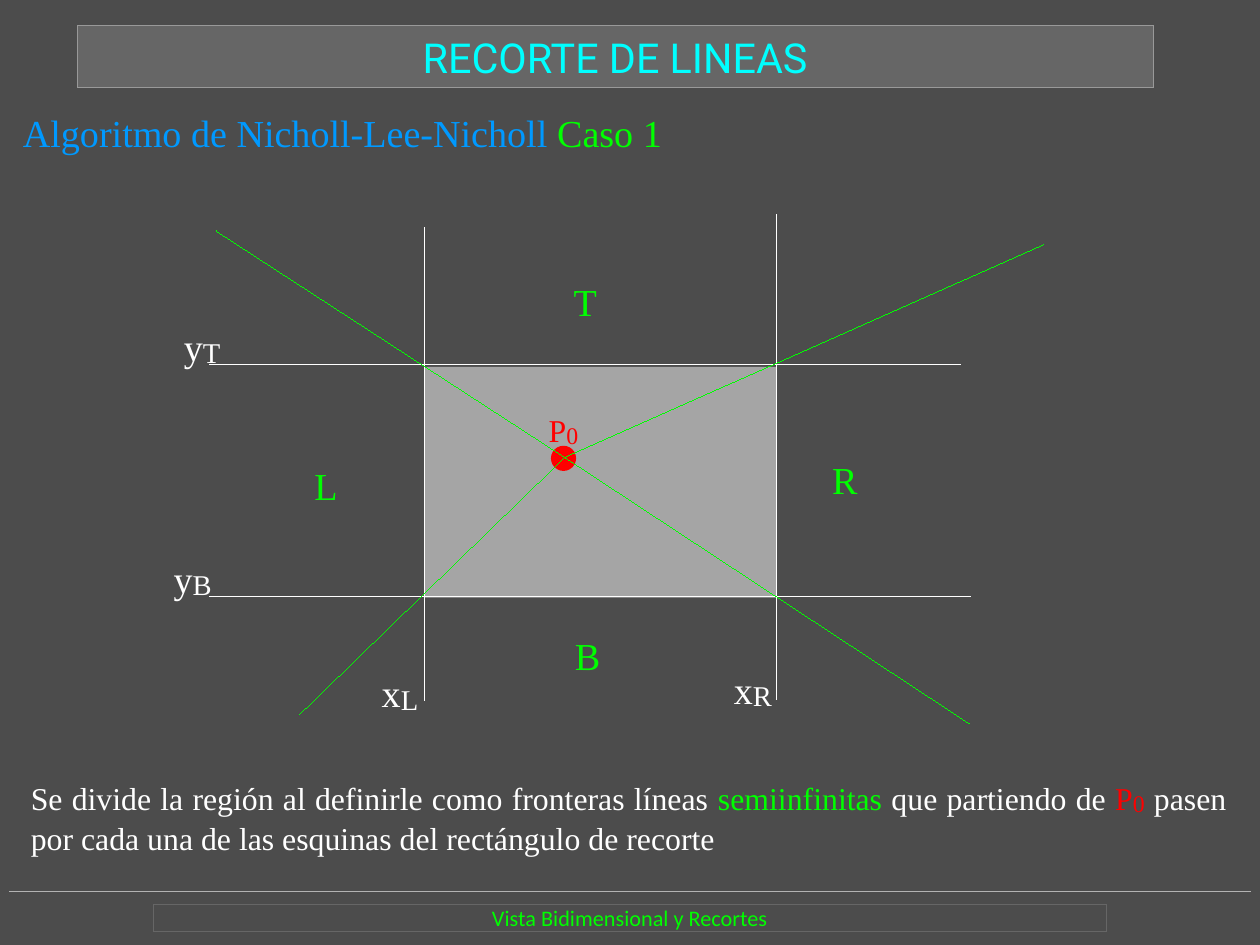
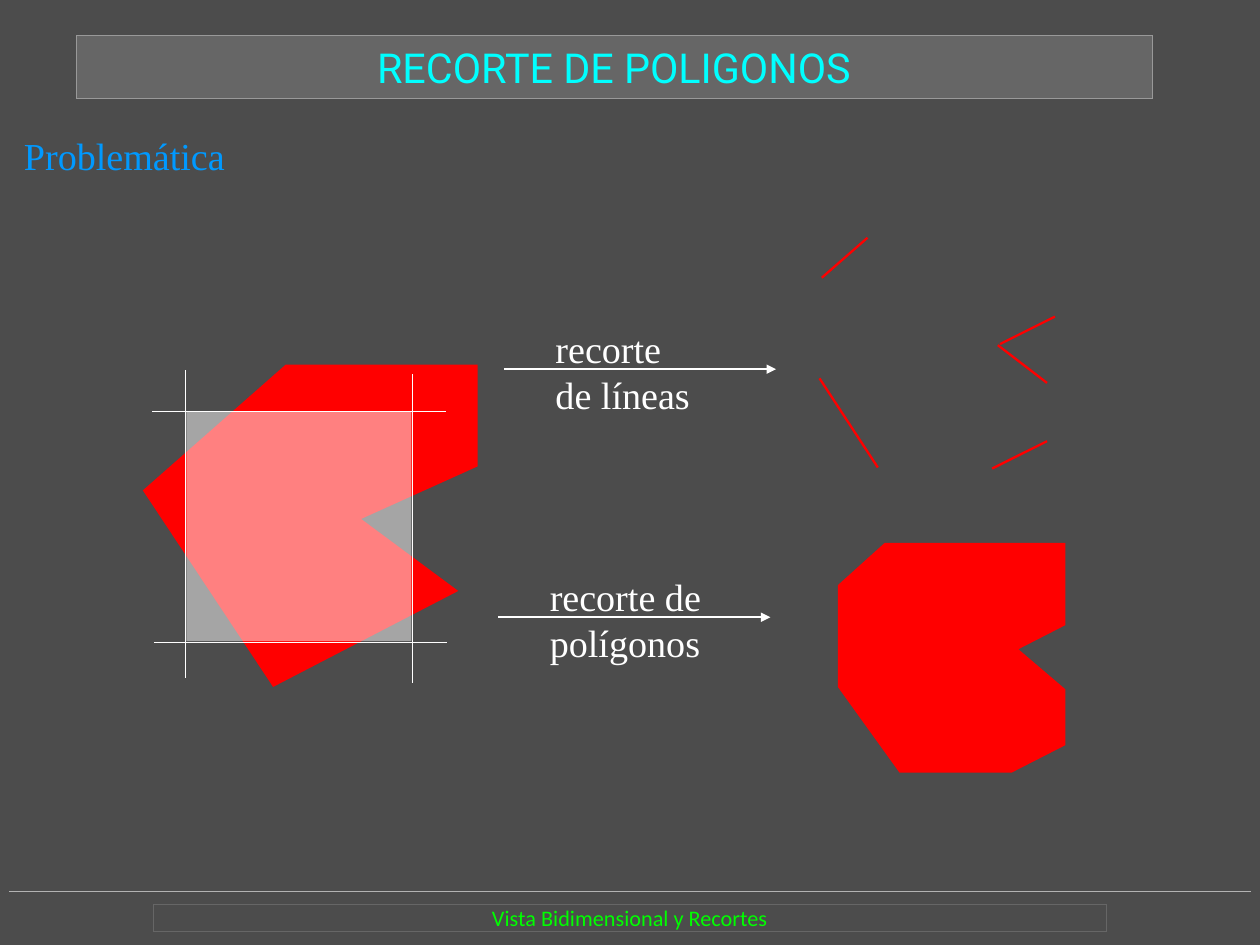
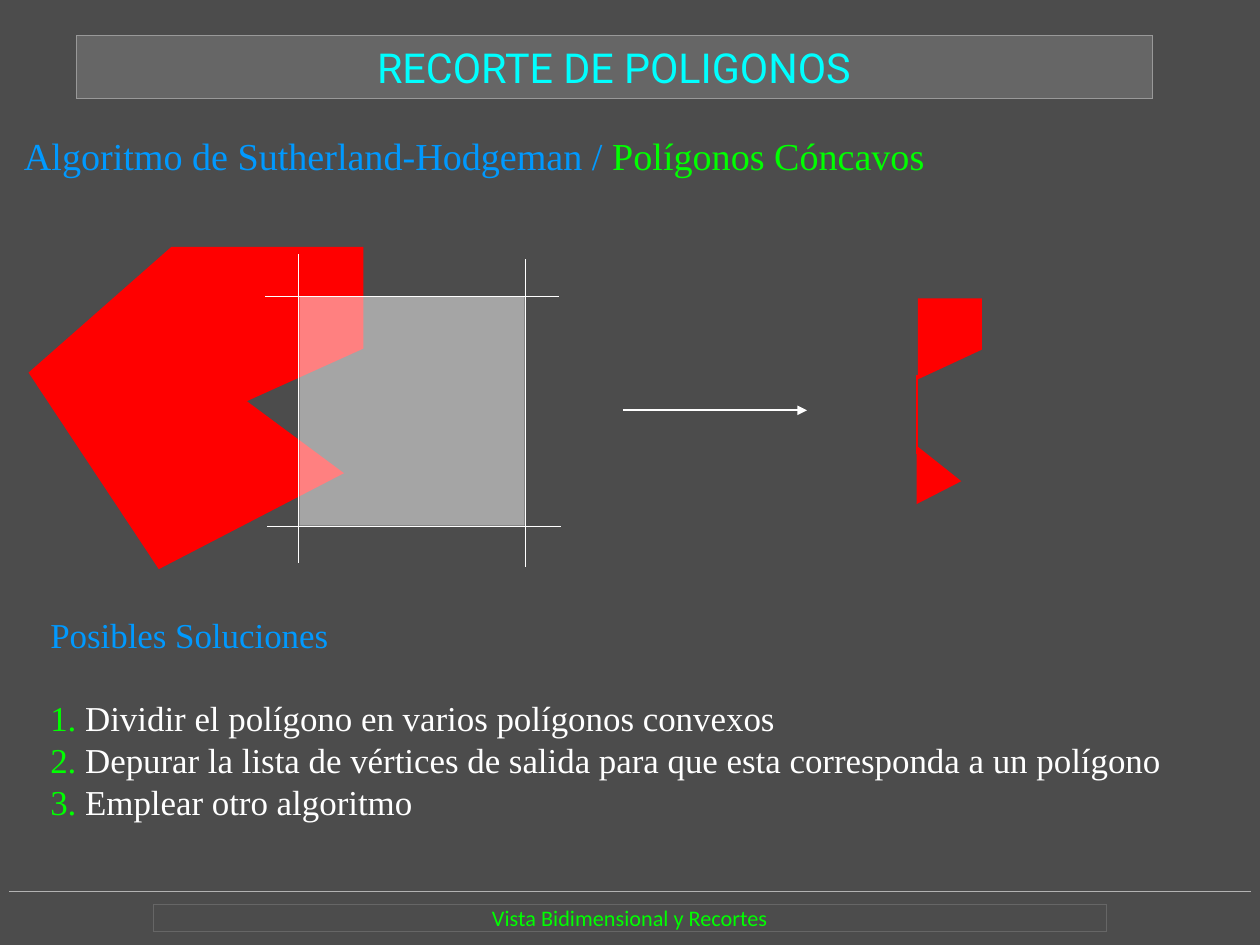
import pptx
import pptx.util
import pptx.dml.color
import pptx.enum.shapes
import pptx.enum.text
import pptx.oxml
import pptx.oxml.ns

WIDE, HIGH = pptx.util.Mm(280), pptx.util.Mm(210)
GREY, WHITE, RED = "4C4C4C", "FFFFFF", "FF0000"
GREEN, BLUE, CYAN = "00FF00", "0099FF", "00FFFF"
SERIF = "Times New Roman"
HAIR, BOLD = 0.01, 1.45  # line widths in points
FOOTER = "Vista Bidimensional y Recortes"

# Each text is a list of paragraphs; each paragraph a list of (words, colour)
# runs, with a third item, a size, for a subscript.
LEE = [[("Algoritmo de Nicholl-Lee-Nicholl", BLUE), (" Caso 1", GREEN)]]
ISSUE = [[("Problemática", BLUE)]]
HODGE = [[("Algoritmo de Sutherland-Hodgeman /", BLUE),
          (" Polígonos Cóncavos", GREEN)]]
POINT = [("P", RED), ("0", RED, 25.9)]
NOTE = [[("Se divide la región al definirle como fronteras líneas ", WHITE),
         ("semiinfinitas", GREEN), (" que partiendo de ", WHITE), *POINT,
         (" pasen por cada una de las esquinas del rectángulo de recorte",
          WHITE)]]
FIXES = ["Dividir el polígono en varios polígonos convexos",
         "Depurar la lista de vértices de salida para que esta corresponda "
         "a un polígono",
         "Emplear otro algoritmo"]

# Title bar corner and heading box of each topic.
LINES = ((0.68, 0.22), (0.2, 0.96, 10.68, 0.4))
AREAS = ((0.67, 0.31), (0.21, 1.16, 9.96, 0.4))

SIDES = [("T", 5.02, 2.44), ("R", 7.28, 3.99), ("B", 5.03, 5.53),
         ("L", 2.75, 4.05)]
BOUNDS = [("x", "L", 3.34, 5.76), ("x", "R", 6.42, 5.73),
          ("y", "T", 1.61, 2.73), ("y", "B", 1.52, 4.76)]
CENTRE = (4.94, 4)
RAYS = [(1.89, 2.02), (9.13, 2.14), (2.62, 6.25), (8.48, 6.33)]

# A window is its pane (left, top, width, height) and its border lines.
SPLIT = ((3.71, 3.21, 3.08, 2.02),
         [(3.71, 1.99, 3.71, 6.13), (6.79, 1.88, 6.79, 6.12),
          (1.83, 3.19, 8.4, 3.19), (1.83, 5.22, 8.49, 5.22)])
CLIP = ((1.63, 3.6, 1.97, 2.01),
        [(1.62, 3.24, 1.62, 5.93), (3.61, 3.28, 3.61, 5.97),
         (1.33, 3.6, 3.9, 3.6), (1.35, 5.62, 3.91, 5.62)])
NOTCHED = [(2.5, 3.19), (4.18, 3.19), (4.18, 4.08), (3.16, 4.54),
           (4.01, 5.17), (2.39, 6.01), (1.25, 4.29)]
TRIMMED = [(7.87, 6.76), (8.85, 6.76), (9.32, 6.52), (9.32, 6.03),
           (8.91, 5.68), (9.32, 5.47), (9.32, 4.75), (7.74, 4.75),
           (7.33, 5.12), (7.33, 6.01)]
UPPER = [(8.03, 3.32), (8.03, 2.61), (8.59, 2.61), (8.59, 3.06)]
LOWER = [(8.02, 4.41), (8.02, 3.9), (8.41, 4.21)]
LOOSE = [(7.19, 2.43, 7.59, 2.08), (7.17, 3.31, 7.68, 4.09),
         (9.16, 3.86, 8.68, 4.1), (9.16, 3.35, 8.73, 3.02),
         (9.23, 2.77, 8.75, 3.01)]
STEPS = [((4.41, 3.23), (4.86, 2.85, 1.31, 0.8), ("recorte", "de líneas")),
         ((4.36, 5.4), (4.81, 5.02, 1.52, 0.8), ("recorte de", "polígonos"))]

SHAPE = pptx.enum.shapes.MSO_SHAPE
ALIGN = pptx.enum.text.PP_ALIGN
ANCHOR = pptx.enum.text.MSO_ANCHOR


def rgb(code):
    return pptx.dml.color.RGBColor.from_string(code)


def inch(*sizes):
    return [pptx.util.Inches(size) for size in sizes]


def sub(parent, tag, **attrs):
    """Append a drawing element to parent."""
    node = pptx.oxml.parse_xml(f"<a:{tag} {pptx.oxml.ns.nsdecls('a')}/>")
    for key, value in attrs.items():
        node.set(key, value)
    parent.append(node)


def write(frame, paras, size=24, font=SERIF, align=ALIGN.LEFT,
          anchor=ANCHOR.TOP, gap=0):
    """Fill a text frame; gap is the space in points after the first line."""
    frame.word_wrap = True
    frame.auto_size = pptx.enum.text.MSO_AUTO_SIZE.NONE
    frame.vertical_anchor = anchor
    frame.margin_left = frame.margin_right = 0
    frame.margin_top = frame.margin_bottom = 0
    for i, runs in enumerate(paras):
        para = frame.add_paragraph() if i else frame.paragraphs[0]
        para.alignment = align
        if gap and i == 0:
            para.space_after = pptx.util.Pt(gap)
        for words, colour, *low in runs:
            run = para.add_run()
            run.text = words
            run.font.name = font
            run.font.size = pptx.util.Pt(low[0] if low else size)
            run.font.color.rgb = rgb(colour)
            if low:
                run.font._element.set("baseline", "-5000")


def label(slide, box, paras, **style):
    write(slide.shapes.add_textbox(*inch(*box)).text_frame, paras, **style)


def paint(shape, fill=None, edge=None, alpha=None):
    if fill:
        shape.fill.solid()
        shape.fill.fore_color.rgb = rgb(fill)
        if alpha:
            tint = shape.element.spPr.find(".//" + pptx.oxml.ns.qn("a:srgbClr"))
            sub(tint, "alpha", val=str(alpha * 1000))
    else:
        shape.fill.background()
    if edge:
        shape.line.color.rgb = rgb(edge)
        shape.line.width = pptx.util.Pt(HAIR)
    else:
        shape.line.fill.background()


def block(slide, kind, box, **look):
    shape = slide.shapes.add_shape(kind, *inch(*box))
    shape.shadow.inherit = False
    paint(shape, **look)
    return shape


def rule(slide, ends, colour=WHITE, width=HAIR, arrow=False):
    straight = pptx.enum.shapes.MSO_CONNECTOR.STRAIGHT
    line = slide.shapes.add_connector(straight, *inch(*ends))
    line.line.color.rgb = rgb(colour)
    line.line.width = pptx.util.Pt(width)
    if arrow:
        sub(line.line._get_or_add_ln(), "tailEnd", type="triangle")
    sub(line.element.spPr, "effectLst")
    return line


def outline(slide, points, dx=0, dy=0):
    spots = [inch(x + dx, y + dy) for x, y in points]
    pen = slide.shapes.build_freeform(*spots[0], scale=1.0)
    pen.add_line_segments(spots[1:], close=True)
    shape = pen.convert_to_shape()
    shape.shadow.inherit = False
    paint(shape, RED)


def window(slide, parts, dx=0, dy=0):
    (x, y, w, h), edges = parts
    for x1, y1, x2, y2 in edges:
        rule(slide, (x1 + dx, y1 + dy, x2 + dx, y2 + dy))
    block(slide, SHAPE.RECTANGLE, (x + dx, y + dy, w, h), fill=WHITE, alpha=50)


def dress(layout, slide):
    """Put the background, rule and footer band on the layout."""
    layout.background.fill.solid()
    layout.background.fill.fore_color.rgb = rgb(GREY)
    for hold in list(layout.placeholders)[1:]:
        hold.element.getparent().remove(hold.element)
    line = rule(slide, (0.08, 7.8, 10.94, 7.8), "B3B3B3")
    band = block(slide, SHAPE.RECTANGLE, (1.34, 7.91, 8.34, 0.24),
                 edge="666666")
    write(band.text_frame, [[(FOOTER, GREEN)]], size=14, font="Calibri",
          align=ALIGN.CENTER, anchor=ANCHOR.MIDDLE)
    for part in (line, band):
        layout.shapes.element.append(part.element)


def start(deck, title, topic, head):
    slide = deck.slides.add_slide(deck.slide_layouts[5])
    corner, box = topic
    bar = slide.shapes.title
    bar.left, bar.top, bar.width, bar.height = inch(*corner, 9.41, 0.55)
    paint(bar, "666666", "999999")
    write(bar.text_frame, [[(title, CYAN)]], size=26, font="Roboto",
          align=ALIGN.CENTER, anchor=ANCHOR.MIDDLE)
    label(slide, box, head)
    return slide


def lines(deck):
    slide = start(deck, "RECORTE DE LINEAS", LINES, LEE)
    dress(deck.slide_layouts[5], slide)
    label(slide, (0.27, 6.73, 10.46, 0.97), NOTE, size=20, align=ALIGN.JUSTIFY)
    window(slide, SPLIT)
    label(slide, (4.8, 3.51, 0.29, 0.38), [POINT], size=20)
    block(slide, SHAPE.OVAL, (4.82, 3.9, 0.22, 0.22), fill=RED)
    for axis, side, x, y in BOUNDS:
        label(slide, (x, y, 0.36, 0.46), [[(axis, WHITE), (side, WHITE, 31)]],
              align=ALIGN.JUSTIFY)
    for end in RAYS:
        rule(slide, CENTRE + end, GREEN)
    for side, x, y in SIDES:
        label(slide, (x, y, 0.27, 0.4), [[(side, GREEN)]], align=ALIGN.JUSTIFY)


def polygons(deck):
    slide = start(deck, "RECORTE DE POLIGONOS", AREAS, ISSUE)
    outline(slide, NOTCHED)
    window(slide, CLIP)
    for ends in LOOSE:
        rule(slide, ends, RED, BOLD)
    outline(slide, TRIMMED)
    for (x, y), box, words in STEPS:
        rule(slide, (x, y, x + 2.38, y), width=BOLD, arrow=True)
        label(slide, box, [[(word, WHITE)] for word in words],
              align=ALIGN.JUSTIFY)


def concave(deck):
    slide = start(deck, "RECORTE DE POLIGONOS", AREAS, HODGE)
    outline(slide, NOTCHED, -1, -1.03)
    window(slide, CLIP, 0.99, -1.01)
    rule(slide, (5.45, 3.59, 7.06, 3.59), width=BOLD, arrow=True)
    outline(slide, UPPER)
    outline(slide, LOWER)
    rule(slide, (8.02, 3.28, 8.02, 3.97), RED, BOLD)
    items = [[(f"{n}. ", GREEN), (fix, WHITE)] for n, fix in enumerate(FIXES, 1)]
    label(slide, (0.44, 5.37, 10.26, 2.1),
          [[("Posibles Soluciones", BLUE)], *items], size=22, gap=26,
          align=ALIGN.JUSTIFY)


def main():
    deck = pptx.Presentation()
    deck.slide_width, deck.slide_height = WIDE, HIGH
    for build in (lines, polygons, concave):
        build(deck)
    deck.save("out.pptx")


if __name__ == "__main__":
    main()
